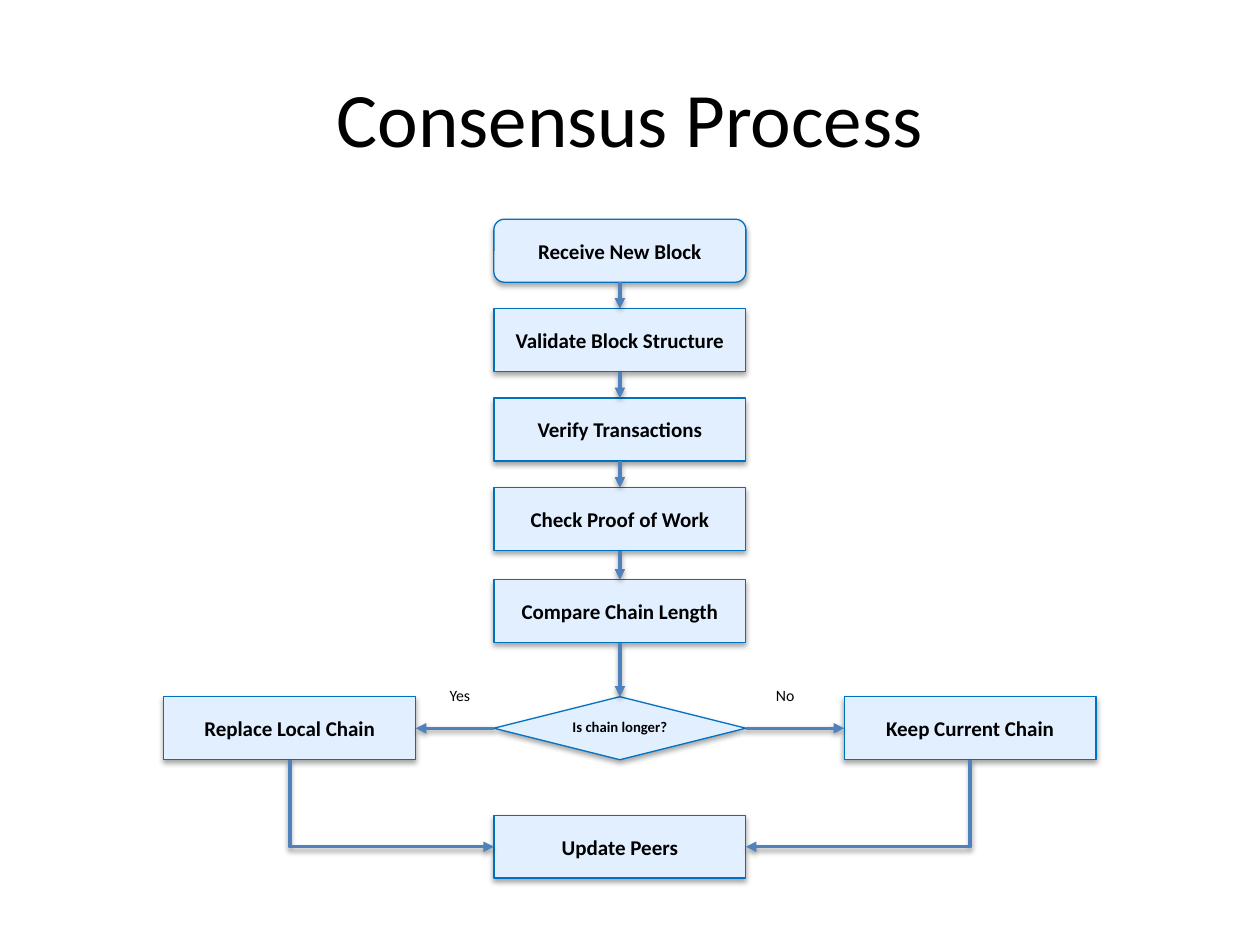
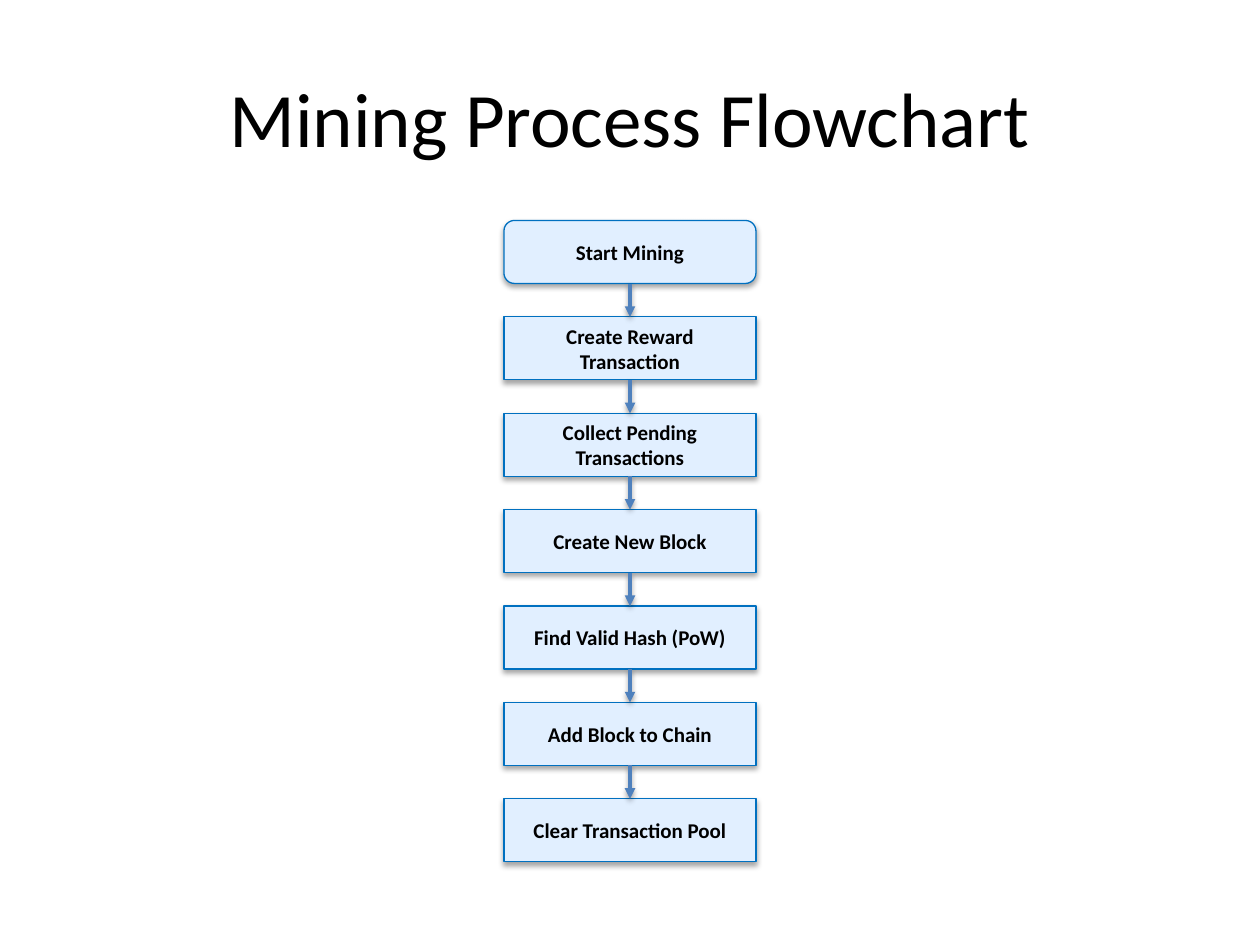
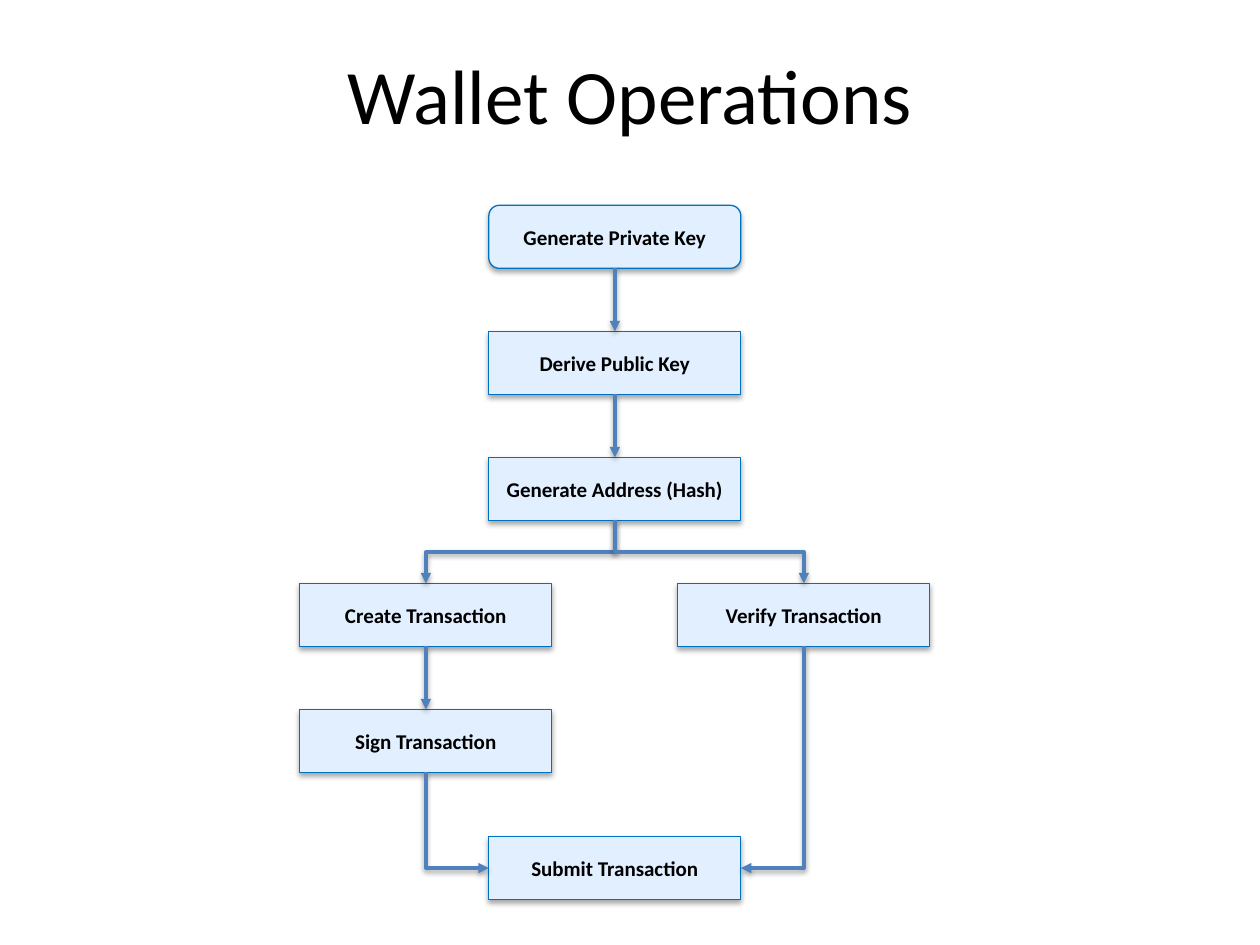
from pptx import Presentation
from pptx.dml.color import RGBColor
from pptx.enum.shapes import MSO_CONNECTOR, MSO_SHAPE
from pptx.enum.text import MSO_ANCHOR, MSO_AUTO_SIZE, PP_ALIGN
from pptx.oxml.ns import qn
from pptx.util import Inches, Pt
from lxml.etree import SubElement

COLORS = {
    "text": "000000",
    "box_fill": "E1EFFF",
    "box_line": "0070C0",
    "arrow": "4F81BD",
    "background": "FFFFFF",
}
FONT = "Calibri"
BOX_WIDTH, BOX_HEIGHT = 2, 0.5
TITLE_ONLY_LAYOUT = 5

# Connection sites of rectangles and diamonds
TOP, LEFT, BOTTOM, RIGHT = range(4)


def color(name):
    return RGBColor.from_string(COLORS[name])


def write_text(shape, text, size=12, bold=False, align=PP_ALIGN.CENTER,
               anchor=MSO_ANCHOR.MIDDLE, spacing=None):
    frame = shape.text_frame
    frame.word_wrap = True
    frame.vertical_anchor = anchor
    paragraph = frame.paragraphs[0]
    paragraph.alignment = align
    paragraph.line_spacing = spacing
    run = paragraph.add_run()
    run.text = text
    run.font.name = FONT
    run.font.size = Pt(size)
    run.font.bold = bold
    run.font.color.rgb = color("text")


def add_titled_slide(presentation, title, top=0.3):
    slide = presentation.slides.add_slide(
        presentation.slide_layouts[TITLE_ONLY_LAYOUT])
    slide.background.fill.solid()
    slide.background.fill.fore_color.rgb = color("background")
    shape = slide.shapes.title
    shape.left, shape.top = Inches(0.5), Inches(top)
    shape.width, shape.height = Inches(9), Inches(1.25)
    write_text(shape, title, size=44)
    return slide


# Flowchart parts; boxes and arrows keep the soft shadow of the theme

def add_box(slide, text, left, top, kind=MSO_SHAPE.RECTANGLE, size=12, spacing=None):
    shape = slide.shapes.add_shape(kind, Inches(left), Inches(top),
                                   Inches(BOX_WIDTH), Inches(BOX_HEIGHT))
    shape.fill.solid()
    shape.fill.fore_color.rgb = color("box_fill")
    shape.line.color.rgb = color("box_line")
    shape.line.width = Pt(0.75)
    write_text(shape, text, size=size, bold=True, spacing=spacing)
    return shape


def add_label(slide, text, left, top):
    label = slide.shapes.add_textbox(Inches(left), Inches(top),
                                     Inches(0.51), Inches(0.25))
    write_text(label, text, size=9, align=PP_ALIGN.LEFT, anchor=MSO_ANCHOR.TOP)
    label.text_frame.auto_size = MSO_AUTO_SIZE.SHAPE_TO_FIT_TEXT


def add_arrow(slide, source, target, leave=BOTTOM, enter=TOP, kind=MSO_CONNECTOR.STRAIGHT):
    arrow = slide.shapes.add_connector(kind, 0, 0, 0, 0)
    arrow.begin_connect(source, leave)
    arrow.end_connect(target, enter)
    arrow.line.color.rgb = color("arrow")
    arrow.line.width = Pt(2)
    SubElement(arrow.line._get_or_add_ln(), qn("a:tailEnd"), type="triangle")
    return arrow


def add_elbow(slide, source, target, enter):
    """Arrow that leaves the source downwards and bends to the target."""
    arrow = add_arrow(slide, source, target, enter=enter, kind=MSO_CONNECTOR.ELBOW)
    begin_x, begin_y, end_x, end_y = arrow.begin_x, arrow.begin_y, arrow.end_x, arrow.end_y
    run, drop = abs(end_x - begin_x), end_y - begin_y
    goes_right = end_x > begin_x

    # A quarter turn swaps the sides of the frame around its centre
    arrow.left = (begin_x + end_x - drop) // 2
    arrow.top = (begin_y + end_y - run) // 2
    arrow.width, arrow.height = drop, run
    properties = arrow._element.spPr
    frame = properties.find(qn("a:xfrm"))
    frame.set("rot", str((270 if goes_right else 90) * 60000))
    frame.set("flipH", "1" if goes_right else "0")
    frame.set("flipV", "0")
    if enter != TOP:
        properties.find(qn("a:prstGeom")).set("prst", "bentConnector2")


def add_column(slide, texts, left, top, step):
    """Stack of boxes joined by arrows; the first box is rounded."""
    boxes = []
    for index, text in enumerate(texts):
        kind = MSO_SHAPE.RECTANGLE if index else MSO_SHAPE.ROUNDED_RECTANGLE
        boxes.append(add_box(slide, text, left, top + index * step, kind))
    for source, target in zip(boxes, boxes[1:]):
        add_arrow(slide, source, target)
    return boxes


# Slides

def build_consensus(presentation, left=3.92, top=1.74):
    slide = add_titled_slide(presentation, "Consensus Process")
    steps = add_column(slide, [
        "Receive New Block", "Validate Block Structure",
        "Verify Transactions", "Check Proof of Work",
    ], left, top, step=0.71)
    compare = add_box(slide, "Compare Chain Length", left, top + 2.86)

    # Decision and its two outcomes
    branch_top = top + 3.79
    replace = add_box(slide, "Replace Local Chain", left - 2.62, branch_top)
    decision = add_box(slide, "Is chain longer?", left, branch_top,
                       MSO_SHAPE.DIAMOND, size=8.4, spacing=0.8)
    keep = add_box(slide, "Keep Current Chain", left + 2.78, branch_top)
    update = add_box(slide, "Update Peers", left, top + 4.73)

    add_arrow(slide, steps[-1], compare)
    add_arrow(slide, compare, decision)
    add_arrow(slide, decision, replace, LEFT, RIGHT)
    add_arrow(slide, decision, keep, RIGHT, LEFT)
    add_elbow(slide, replace, update, LEFT)
    add_elbow(slide, keep, update, RIGHT)
    add_label(slide, "Yes", left - 0.45, branch_top - 0.14)
    add_label(slide, "No", left + 2.14, branch_top - 0.14)


def build_mining(presentation, left=4, top=1.75):
    slide = add_titled_slide(presentation, "Mining Process Flowchart")
    add_column(slide, [
        "Start Mining", "Create Reward Transaction", "Collect Pending Transactions",
        "Create New Block", "Find Valid Hash (PoW)", "Add Block to Chain",
        "Clear Transaction Pool",
    ], left, top, step=4.59 / 6)


def build_wallet(presentation, left=3.88, top=1.63):
    slide = add_titled_slide(presentation, "Wallet Operations", top=0.12)
    keys = add_column(slide, [
        "Generate Private Key", "Derive Public Key", "Generate Address (Hash)",
    ], left, top, step=1)

    # Two branches that meet again at the bottom
    create = add_box(slide, "Create Transaction", left - 1.5, top + 3)
    sign = add_box(slide, "Sign Transaction", left - 1.5, top + 4)
    verify = add_box(slide, "Verify Transaction", left + 1.5, top + 3)
    submit = add_box(slide, "Submit Transaction", left, top + 5.01)

    add_elbow(slide, keys[-1], create, TOP)
    add_elbow(slide, keys[-1], verify, TOP)
    add_arrow(slide, create, sign)
    add_elbow(slide, sign, submit, LEFT)
    add_elbow(slide, verify, submit, RIGHT)


def main():
    presentation = Presentation()
    presentation.slide_width, presentation.slide_height = Inches(10), Inches(7.5)
    build_consensus(presentation)
    build_mining(presentation)
    build_wallet(presentation)
    presentation.save("out.pptx")


if __name__ == "__main__":
    main()
